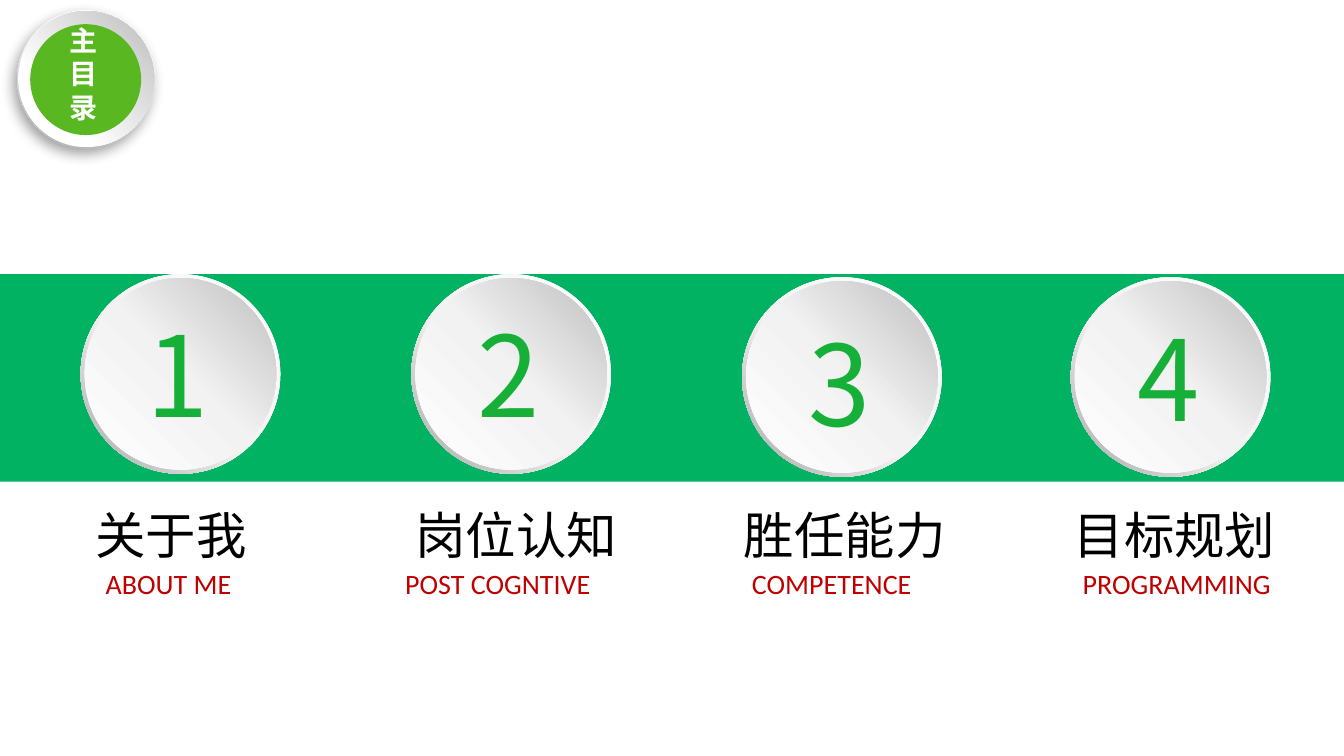
from lxml import etree
from pptx import Presentation
from pptx.dml.color import RGBColor
from pptx.enum.shapes import MSO_SHAPE
from pptx.enum.text import MSO_ANCHOR, PP_ALIGN
from pptx.oxml import parse_xml
from pptx.oxml.ns import nsdecls, qn
from pptx.util import Inches, Pt

OVAL, DONUT, RECTANGLE = MSO_SHAPE.OVAL, MSO_SHAPE.DONUT, MSO_SHAPE.RECTANGLE
TOP, LEFT = MSO_ANCHOR.TOP, PP_ALIGN.LEFT

WHITE = RGBColor(0xFF, 0xFF, 0xFF)
BLACK = RGBColor(0x00, 0x00, 0x00)
PALE = RGBColor(0xF2, 0xF2, 0xF2)
SILVER = RGBColor(0xBF, 0xBF, 0xBF)
STEEL = RGBColor(0xB8, 0xB8, 0xB8)
GREY = RGBColor(0xA6, 0xA6, 0xA6)
LIME = RGBColor(0x59, 0xB7, 0x21)
BAND_GREEN = RGBColor(0x01, 0xB2, 0x62)
DIGIT_GREEN = RGBColor(0x16, 0xB0, 0x38)
RED = RGBColor(0xC0, 0x00, 0x00)
CJK_FONT, LATIN_FONT = "Noto Sans CJK SC", "Calibri"

presentation = Presentation()
presentation.slide_width, presentation.slide_height = Inches(13.33), Inches(7.5)
slide = presentation.slides.add_slide(presentation.slide_layouts[5])


def add_filled(kind, box, color=None, stops=(), angle=0):
    """Add a borderless shape with a plain fill or a linear gradient (clockwise angle)."""
    shape = slide.shapes.add_shape(kind, *map(Inches, box))
    shape.shadow.inherit = False
    shape.line.fill.background()
    if color is not None:
        shape.fill.solid()
        shape.fill.fore_color.rgb = color
    else:
        stop_xml = "".join(
            f'<a:gs pos="{position * 1000}"><a:srgbClr val="{stop}"/></a:gs>'
            for position, stop in stops)
        shape.element.spPr.find(qn("a:prstGeom")).addnext(parse_xml(
            f'<a:gradFill {nsdecls("a")} rotWithShape="1"><a:gsLst>{stop_xml}</a:gsLst>'
            f'<a:lin ang="{angle * 60000}" scaled="0"/></a:gradFill>'))
    return shape


def write_text(shape, text, font_format, wrap=False):
    """Write one left-aligned run from the top of the shape."""
    frame = shape.text_frame
    frame.word_wrap, frame.vertical_anchor = wrap, TOP
    paragraph = frame.paragraphs[0]
    paragraph.alignment = LEFT
    run = paragraph.add_run()
    run.text = text
    run.font.color.rgb = font_format["color"]
    for name in ("size", "name", "bold"):
        setattr(run.font, name, font_format.get(name))
    east_asian = etree.SubElement(run.font._element, qn("a:ea"))
    east_asian.set("typeface", font_format["name"])
    return run


# Round badge with the slide title
badge_rim = add_filled(OVAL, (0.17, 0.1, 1.37, 1.37),
                       stops=((17, WHITE), (88, STEEL)), angle=107)
badge_rim.element.spPr.find(qn("a:effectLst")).append(parse_xml(
    f'<a:outerShdw {nsdecls("a")} blurRad="{Pt(10)}" dist="{Pt(5)}" dir="7380000" '
    'algn="ctr" rotWithShape="0"><a:srgbClr val="000000"><a:alpha val="39000"/>'
    '</a:srgbClr></a:outerShdw>'))
add_filled(OVAL, (0.18, 0.11, 1.35, 1.35), stops=((29, WHITE), (98, SILVER)), angle=318)
badge = add_filled(OVAL, (0.3, 0.24, 1.1, 1.1), LIME)

title = slide.shapes.title
title.left, title.top, title.width, title.height = map(Inches, (0.59, 0.18, 0.51, 1.11))
title_run = write_text(title, "主目录", {
    "size": Pt(20), "name": CJK_FONT, "bold": True, "color": WHITE}, wrap=True)
title_run.font._element.set("spc", "400")
badge.element.addnext(title.element)

# Green band
add_filled(RECTANGLE, (0, 2.72, 13.33, 2.06), BAND_GREEN)

# Numbered sections: disc left and top, digit top, heading left and width, caption left and width
DIGIT = {"size": Pt(80), "name": CJK_FONT, "color": DIGIT_GREEN}
HEADING = {"size": Pt(36), "name": CJK_FONT, "color": BLACK}
CAPTION = {"size": Pt(20), "name": LATIN_FONT, "color": RED}
SECTIONS = (
    ("关于我", "ABOUT ME", 0.8, 2.72, 2.98, 0.85, 2.07, 0.95, 1.56),
    ("岗位认知", "POST COGNTIVE", 4.08, 2.72, 2.98, 4.02, 2.37, 3.92, 2.32),
    ("胜任能力", "COMPETENCE", 7.36, 2.75, 3.07, 7.28, 2.61, 7.36, 1.98),
    ("目标规划", "PROGRAMMING", 10.62, 2.75, 3.02, 10.55, 2.42, 10.64, 2.15),
)
for number, section in enumerate(SECTIONS, start=1):
    (heading, caption, left, top, digit_top,
     heading_left, heading_width, caption_left, caption_width) = section
    ring = add_filled(DONUT, (left, top, 1.98, 1.98),
                      stops=((0, WHITE), (55, PALE), (100, GREY)), angle=135)
    ring.adjustments[0] = 0.049
    add_filled(OVAL, (left + 0.04, top + 0.04, 1.9, 1.9),
               stops=((0, WHITE), (51, PALE), (100, SILVER)), angle=315)
    for text, font_format, box, wrap in (
        (str(number), DIGIT, (left + 0.56, digit_top, 0.86, 1.45), False),
        (heading, HEADING, (heading_left, 4.95, heading_width, 0.71), True),
        (caption, CAPTION, (caption_left, 5.57, caption_width, 0.44), False),
    ):
        write_text(slide.shapes.add_textbox(*map(Inches, box)), text, font_format, wrap)

presentation.save("out.pptx")
